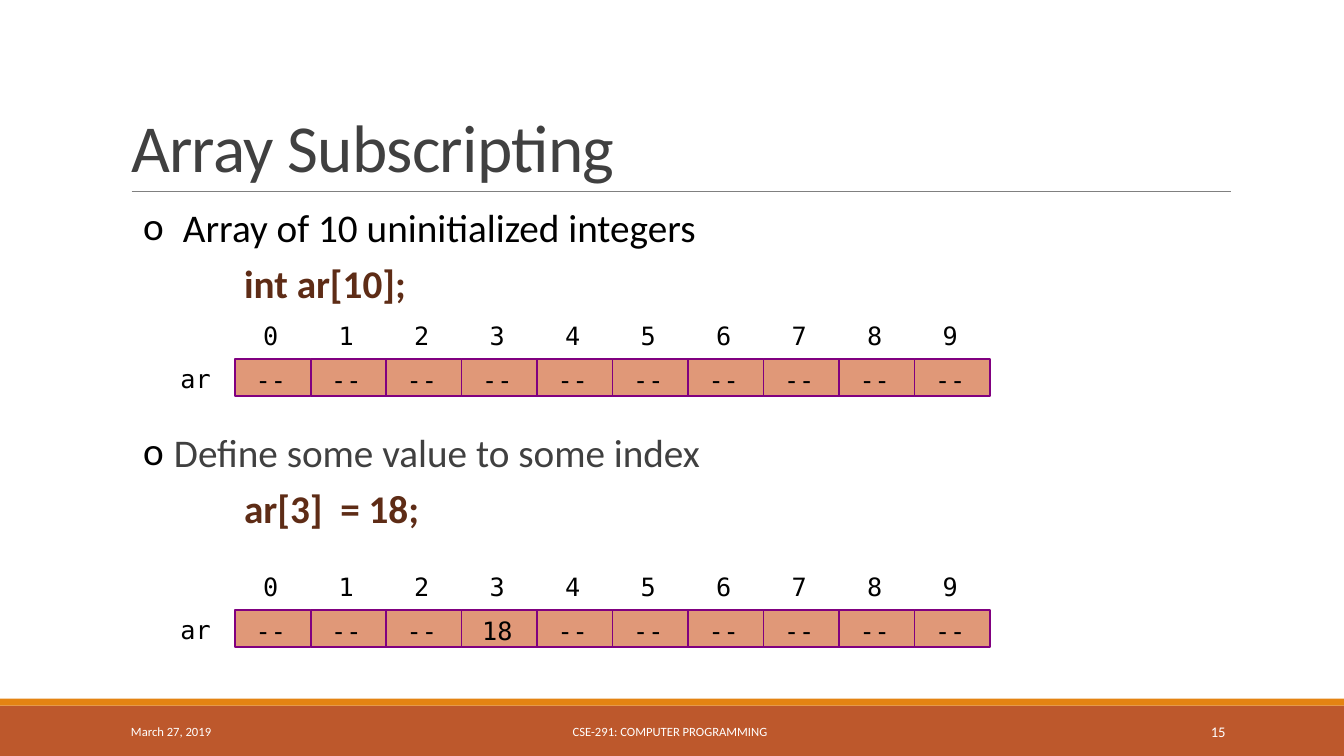
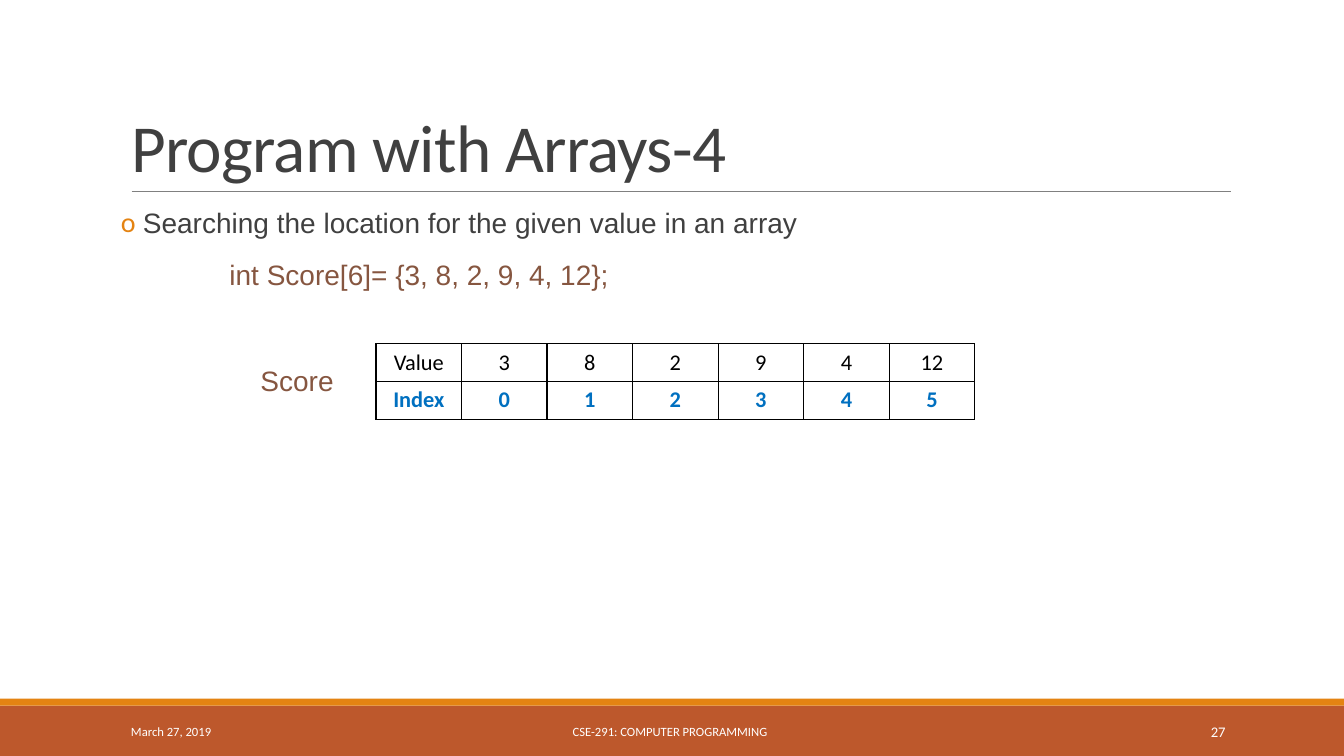
import pptx
import pptx.util
import pptx.dml.color
import pptx.enum.shapes
import pptx.enum.text
import pptx.oxml
import pptx.oxml.ns

Pt = pptx.util.Pt
Shape = pptx.enum.shapes.MSO_SHAPE
Align = pptx.enum.text.PP_ALIGN
Anchor = pptx.enum.text.MSO_ANCHOR
NS = pptx.oxml.ns.nsdecls("a")

WIDE, HIGH = 960, 540
LEFT = 86.4
BODY, MONO, SANS = "Calibri", "DejaVu Sans Mono", "Arial"
BLACK, WHITE, GREY, RULE = "000000", "FFFFFF", "404040", "808080"
RUST, GOLD, BROWN, TAN = "BD582C", "E48312", "5E2C16", "865640"
PEACH, PLUM, BLUE = "E09878", "800080", "0070C0"


def tint(code):
    return pptx.dml.color.RGBColor.from_string(code)


def put(thing, **vals):
    for name, val in vals.items():
        setattr(thing, name, val)


def node(code):
    return pptx.oxml.parse_xml(code)


class Deck:
    """Holds the style and the current slide."""

    def __init__(self):
        self.show = pptx.Presentation()
        put(self.show, slide_width=Pt(WIDE), slide_height=Pt(HIGH))
        self.slide = None

    # Text
    def words(self, para, text, size, color=BLACK, font=BODY, bold=False,
              align=Align.LEFT, **form):
        run = para.add_run()
        run.text = text
        put(run.font, size=Pt(size), name=font, bold=bold)
        run.font.color.rgb = tint(color)
        put(para, alignment=align, **form)
        return run

    def frame(self, shape, pads=(0, 0, 0, 0), anchor=Anchor.TOP):
        frame = shape.text_frame
        sides = ("margin_left", "margin_top", "margin_right", "margin_bottom")
        put(frame, word_wrap=True, vertical_anchor=anchor,
            auto_size=pptx.enum.text.MSO_AUTO_SIZE.NONE,
            **{side: Pt(pad) for side, pad in zip(sides, pads)})
        return frame

    def label(self, text, x, y, w, h, size, anchor=Anchor.TOP, **style):
        box = self.slide.shapes.add_textbox(Pt(x), Pt(y), Pt(w), Pt(h))
        self.words(self.frame(box, anchor=anchor).paragraphs[0],
                   text, size, **style)

    def point(self, head, code, top, text_at, code_at, size, bullet=BLACK,
              start=0, color=BLACK, ink=BROWN, bold=False, font=BODY,
              above=5.6, below=4):
        """A bulleted line with a line of code under it."""
        box = self.slide.shapes.add_textbox(Pt(LEFT), Pt(top), Pt(792), Pt(80))
        frame = self.frame(box, (0, 3.6, 0, 3.6))
        form = dict(font=font, line_spacing=0.9,
                    space_before=Pt(above), space_after=Pt(below))
        first, second = frame.paragraphs[0], frame.add_paragraph()
        self.words(first, head, size, color, **form)
        self.words(second, code, size, ink, bold=bold, **form)
        for para, edge, hang in ((first, text_at, start - text_at),
                                 (second, code_at, 0)):
            props = para._p.get_or_add_pPr()
            props.set("marL", str(Pt(edge)))
            props.set("indent", str(Pt(hang)))
        props = first._p.get_or_add_pPr()
        for mark in (f'<a:buClr {NS}><a:srgbClr val="{bullet}"/></a:buClr>',
                     f'<a:buFont {NS} typeface="{BODY}"/>',
                     f'<a:buChar {NS} char="o"/>'):
            props.append(node(mark))

    # Shapes
    def rect(self, x, y, w, h, fill, edge=None):
        box = self.slide.shapes.add_shape(
            Shape.RECTANGLE, Pt(x), Pt(y), Pt(w), Pt(h))
        box.shadow.inherit = False
        box.fill.solid()
        box.fill.fore_color.rgb = tint(fill)
        if edge:
            box.line.color.rgb = tint(edge)
            box.line.width = Pt(1.25)
        else:
            box.line.fill.background()
        return box

    def rule(self, x, y, end):
        line = self.slide.shapes.add_connector(
            pptx.enum.shapes.MSO_CONNECTOR.STRAIGHT,
            Pt(x), Pt(y), Pt(end), Pt(y))
        line.line.color.rgb = tint(RULE)
        line.line.width = Pt(0.5)
        line._element.spPr.append(node(f"<a:effectLst {NS}/>"))

    # Slide with title, bands and footer
    def page(self, title, number):
        self.slide = self.show.slides.add_slide(self.show.slide_layouts[5])
        self.rect(0, 504, WIDE, 36, RUST)
        self.rect(0, 499, WIDE, 5, GOLD)
        self.rule(94, 136.8, 879)

        head = self.slide.shapes.title
        put(head, left=Pt(LEFT), top=Pt(22.3), width=Pt(792), height=Pt(114.5))
        frame = self.frame(head, (7.2, 3.6, 7.2, 3.6), Anchor.BOTTOM)
        run = self.words(frame.paragraphs[0], title, 48, GREY,
                         line_spacing=0.85)
        run._r.get_or_add_rPr().set("spc", "-50")

        for text, x, w, size, align in (
                ("March 27, 2019", 93.6, 180, 9, Align.LEFT),
                ("CSE-291: COMPUTER PROGRAMMING", 289, 379, 9, Align.CENTER),
                (number, 787, 88.5, 10.5, Align.RIGHT)):
            self.label(text, x, 508.3, w, 28.8, size, anchor=Anchor.MIDDLE,
                       color=WHITE, align=align)

    # Row of array cells with indices above
    def array(self, name, cells, top, left=168, step=53.92, high=26.6):
        style = dict(size=18, font=MONO)
        self.label(name, 128.9, top + 3, 30, 21.6, **style)
        for i, text in enumerate(cells):
            x = left + i * step
            self.label(str(i), x, top - 27.3, step - 3, 21.6,
                       align=Align.CENTER, **style)
            box = self.rect(x, top, step, high, PEACH, PLUM)
            frame = self.frame(box, (0, 3, 3, 0), Anchor.MIDDLE)
            self.words(frame.paragraphs[0], text, align=Align.CENTER, **style)

    # Table with black borders
    def table(self, rows, x, y, wide, highs, styles):
        count = len(rows[0])
        grid = self.slide.shapes.add_table(
            len(rows), count, Pt(x), Pt(y),
            Pt(wide * count), Pt(sum(highs))).table
        put(grid, first_row=False, horz_banding=False)
        for col in grid.columns:
            col.width = Pt(wide)
        for row, high, texts, style in zip(grid.rows, highs, rows, styles):
            row.height = Pt(high)
            for cell, text in zip(row.cells, texts):
                props = cell._tc.get_or_add_tcPr()
                for side in "LRTB":
                    props.append(node(
                        f'<a:ln{side} {NS} w="{Pt(1)}"><a:solidFill>'
                        f'<a:srgbClr val="{BLACK}"/></a:solidFill>'
                        f'</a:ln{side}>'))
                cell.fill.solid()
                cell.fill.fore_color.rgb = tint(WHITE)
                self.words(cell.text_frame.paragraphs[0], text, 16,
                           align=Align.CENTER, **style)


def main():
    deck = Deck()

    # Array subscripting
    deck.page("Array Subscripting", "15")
    code = dict(code_at=88, size=28, start=15.8, bold=True)
    deck.point("Array of 10 uninitialized integers", "int ar[10];",
               145.4, 44.3, **code)
    blank = ["--"] * 10
    deck.array("ar", blank, 256.3)
    deck.point("Define some value to some index", "ar[3]  = 18;",
               306, 37.9, color=GREY, **code)
    deck.array("ar", blank[:3] + ["18"] + blank[4:], 435.6)

    # Searching an array
    deck.page("Program with Arrays-4", "27")
    scores = [3, 8, 2, 9, 4, 12]
    listed = ", ".join(map(str, scores))
    deck.point("Searching the location for the given value in an array",
               f"int Score[{len(scores)}]= {{{listed}}};",
               146.2, 15.7, 77.5, 20, bullet=GOLD, color=GREY, ink=TAN,
               font=SANS, above=13, below=2)
    deck.label("Score", 186, 259.8, 70, 24, 20, color=TAN, font=SANS)
    deck.table([["Value", *map(str, scores)],
                ["Index", *map(str, range(len(scores)))]],
               268.6, 245.5, 61.1, (26.8, 27.4),
               ({}, dict(color=BLUE, bold=True)))

    deck.show.save("out.pptx")


if __name__ == "__main__":
    main()
